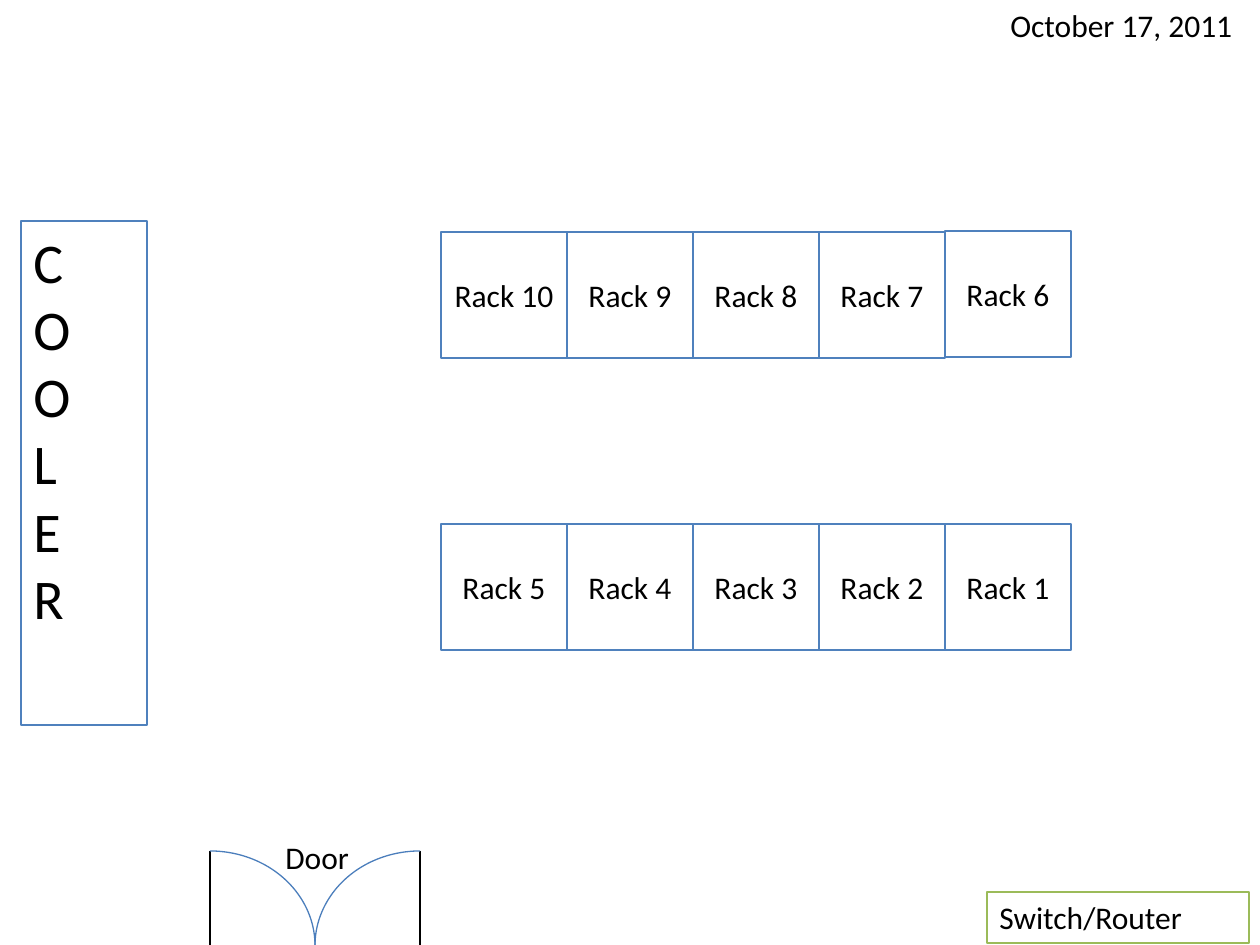
"""Draw the floor plan of a server room with racks, cooler and door."""
from lxml import etree
from pptx import Presentation
from pptx.dml.color import RGBColor
from pptx.enum.shapes import MSO_CONNECTOR as CONN, MSO_SHAPE as SHAPE
from pptx.enum.text import MSO_ANCHOR as ANCHOR, MSO_AUTO_SIZE as AUTO, PP_ALIGN as ALIGN
from pptx.oxml.ns import qn
from pptx.util import Inches, Pt

BLACK = RGBColor(0x00, 0x00, 0x00)
BLUE = RGBColor(0x4F, 0x81, 0xBD)
ARC_BLUE = RGBColor(0x4B, 0x7E, 0xBC)
GREEN = RGBColor(0x9B, 0xBB, 0x59)


def px(n):
    return Inches(n / 126)


class Plan:
    """Hold the text style and the current slide."""

    font = "Calibri"

    def __init__(self, slide):
        self.s = slide

    def set_text(self, sp, text, size=18, align=ALIGN.LEFT, anchor=ANCHOR.TOP):
        tf = sp.text_frame
        tf.text = text
        tf.word_wrap = True
        tf.vertical_anchor = anchor
        p = tf.paragraphs[0]
        p.alignment = align
        f = p.runs[0].font
        f.name, f.size, f.color.rgb = self.font, Pt(size), BLACK
        return tf

    def shape(self, kind, x, y, w, h, color):
        sp = self.s.shapes.add_shape(kind, px(x), px(y), px(w), px(h))
        sp.shadow.inherit = False
        sp.fill.background()
        sp.line.color.rgb = color
        sp.line.width = Pt(0.75)
        return sp

    def box(self, text, x, y, w, h, color=BLUE, **style):
        sp = self.shape(SHAPE.RECTANGLE, x, y, w, h, color)
        self.set_text(sp, text, **style)
        return sp

    def label(self, text, x, y, w, h):
        sp = self.s.shapes.add_textbox(px(x), px(y), px(w), px(h))
        self.set_text(sp, text).auto_size = AUTO.SHAPE_TO_FIT_TEXT

    def arc(self, x, y, w, h, start, end):
        sp = self.shape(SHAPE.ARC, x, y, w, h, ARC_BLUE)
        for i, angle in enumerate((start, end)):
            sp.adjustments[i] = angle * 0.6

    def line(self, x1, y1, x2, y2):
        c = self.s.shapes.add_connector(CONN.STRAIGHT, px(x1), px(y1), px(x2), px(y2))
        c.line.color.rgb = BLACK
        c.line.width = Pt(1)
        etree.SubElement(c._element.spPr, qn("a:effectLst"))


prs = Presentation()
prs.slide_width, prs.slide_height = Inches(10), Inches(7.5)
plan = Plan(prs.slides.add_slide(prs.slide_layouts[6]))

RACK = 126
for first, top in ((6, 232), (1, 524)):
    for i in range(5):
        number = first + i
        y = top - 1 if number == 6 else top
        plan.box(f"Rack {number}", 945 - i * RACK, y, RACK, RACK,
                 align=ALIGN.CENTER, anchor=ANCHOR.MIDDLE)

cooler = plan.box("COOLER", 21, 221, 126, 504, size=32)
cooler._element.txBody.find(qn("a:bodyPr")).set("vert", "wordArtVert")

for hinge, arc_left, start, end in ((210, 105, 270, 0), (420, 315, 180, 270)):
    plan.line(hinge, 945, hinge, 851)
    plan.arc(arc_left, 851, 210, 189, start, end)

switch = plan.box("Switch/Router", 987, 892, 262, 51, GREEN)
switch.text_frame.auto_size = AUTO.SHAPE_TO_FIT_TEXT
plan.label("Door", 273, 832, 95, 51)
plan.label("October 17, 2011", 998, 0, 262, 51)

prs.save("out.pptx")
